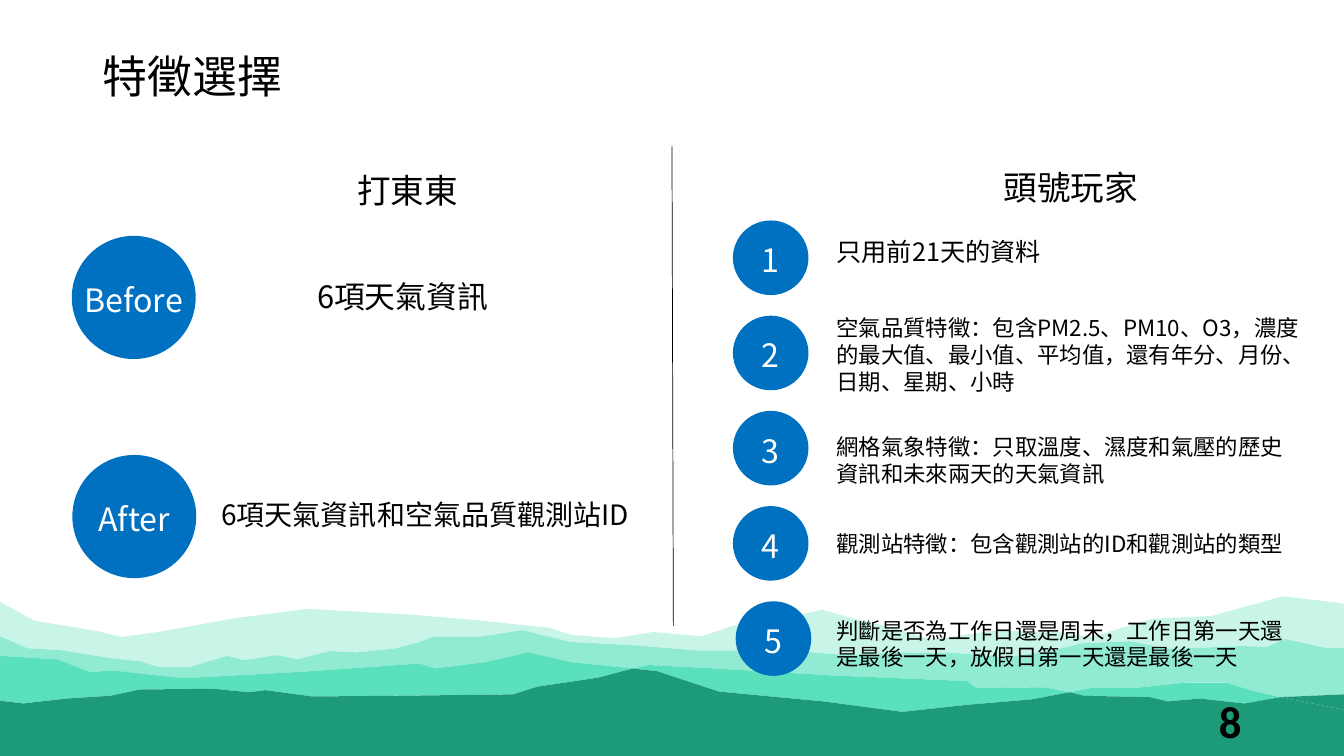
from lxml.etree import SubElement
from pptx import Presentation
from pptx.dml.color import RGBColor
from pptx.enum.shapes import MSO_CONNECTOR, MSO_SHAPE
from pptx.enum.text import MSO_ANCHOR, PP_ALIGN
from pptx.oxml.ns import qn
from pptx.util import Pt

BLACK, WHITE, BLUE = "000000", "FFFFFF", "0070C0"
MIST, MINT, TEAL, FOREST = "C8F5E8", "91EAD2", "5AE0BB", "1D9A78"
WIDTH, HEIGHT = 960, 540

# Ridge lines of the hills, from left to right, in points
MIST_TOP = [
    (0, 430), (25, 443.5), (70.5, 451), (86.5, 455), (113, 451.5), (168.5, 441.5),
    (219.5, 435), (293, 439), (345.5, 443.5), (392.5, 448.5), (408, 453.5), (438, 456),
    (466.5, 451.5), (501, 454.5), (524, 447), (546.5, 445.5), (587, 435.5), (613.5, 443),
    (638, 448.5), (665.5, 457), (709, 450.5), (755.5, 451.5), (780, 455), (823, 442),
    (865.5, 440), (916, 426), (955.5, 430.5), (960, 431.5)]
MINT_TOP = [
    (0, 454.5), (19.5, 463), (44, 464.5), (78, 470), (101, 472.5), (113, 476.5),
    (135.5, 476.5), (162, 468.5), (174, 471.5), (198, 468), (212.5, 471),
    (235.5, 465), (255, 466), (283.5, 463), (300, 458.5), (309, 455),
    (342, 455), (373, 450), (407, 458.5), (453.5, 461), (502.5, 465), (568, 465),
    (605, 468), (641.5, 466), (684.5, 466.5), (718, 469.5), (751, 465), (772.5, 459.5),
    (807, 458), (836, 463.5), (886.5, 461.5), (905, 462), (918, 456.5), (947.5, 463),
    (960, 463)]
# The lower two ridges meet at these three points
PEAK, SADDLE, SPUR = (452, 477.5), (764, 494.5), (914.5, 498)
TEAL_TOPS = [
    [(0, 468.5), (41, 471), (64, 480), (81.5, 479), (130.5, 484.5), (214, 480),
     (299.5, 474), (310.5, 477.5), (347, 473), (377.5, 466), (408, 473), PEAK],
    [PEAK, (463, 475), (511, 477.5), (594, 482.5), (690.5, 486.5), (697.5, 491.5),
     (746, 491), SADDLE],
    [SADDLE, (779, 491.5), (809.5, 491.5), (848, 487.5), (875.5, 487.5), (893, 493), SPUR],
    [SPUR, (960, 496)]]
FOREST_TOPS = [
    [(0, 500.5), (16.5, 502.5), (47.5, 499), (79, 497), (100, 492.5), (152.5, 492),
     (178, 494.5), (189.5, 493), (223, 497.5), (284.5, 497), (366.5, 496),
     (384, 490.5), (427.5, 484), PEAK],
    [PEAK, (469.5, 479.5), (513.5, 494), (588, 501), (644.5, 508.5), (690.5, 503.5),
     (737.5, 499.5), SADDLE],
    [SADDLE, (774, 497), (821.5, 498), (834, 501), (857, 499), (889, 502.5), SPUR],
    [SPUR, (960, 507)]]


def color(hex_string):
    return RGBColor.from_string(hex_string)


def write(frame, text, size=16, font="Noto Sans CJK SC", ink=BLACK, bold=False,
          align=PP_ALIGN.LEFT, anchor=MSO_ANCHOR.TOP, wrap=True, line_spacing=None):
    frame.word_wrap = wrap
    frame.vertical_anchor = anchor
    paragraph = frame.paragraphs[0]
    paragraph.alignment = align
    paragraph.line_spacing = line_spacing
    run = paragraph.add_run()
    run.text = text
    run.font.name, run.font.size, run.font.bold = font, Pt(size), bold
    run.font.color.rgb = color(ink)
    SubElement(run.font._element, qn("a:ea")).set("typeface", font)


class SlideBuilder:
    def __init__(self, slide):
        self.shapes = slide.shapes

    def finish(self, shape, fill):
        shape.shadow.inherit = False
        shape.fill.solid()
        shape.fill.fore_color.rgb = color(fill)
        shape.line.fill.background()

    def hill(self, top, bottom, fill):
        outline = [(Pt(x), Pt(y)) for x, y in top + bottom[::-1]]
        builder = self.shapes.build_freeform(*outline[0], scale=1.0)
        builder.add_line_segments(outline[1:], close=True)
        self.finish(builder.convert_to_shape(), fill)

    def text(self, text, left, top, width, height, **style):
        box = self.shapes.add_textbox(Pt(left), Pt(top), Pt(width), Pt(height))
        write(box.text_frame, text, **style)

    def badge(self, label, left, top, width, height):
        circle = self.shapes.add_shape(
            MSO_SHAPE.OVAL, Pt(left), Pt(top), Pt(width), Pt(height))
        self.finish(circle, BLUE)
        frame = circle.text_frame
        frame.margin_left = frame.margin_right = frame.margin_bottom = 0
        frame.margin_top = Pt(3)
        write(frame, label, size=23, ink=WHITE, align=PP_ALIGN.CENTER,
              anchor=MSO_ANCHOR.MIDDLE, wrap=False)

    def divider(self, x1, y1, x2, y2):
        line = self.shapes.add_connector(
            MSO_CONNECTOR.STRAIGHT, Pt(x1), Pt(y1), Pt(x2), Pt(y2))
        line.line.color.rgb = color(BLACK)
        line.line.width = Pt(0.5)
        SubElement(line._element.spPr, qn("a:effectLst"))


def main():
    deck = Presentation()
    deck.slide_width, deck.slide_height = Pt(WIDTH), Pt(HEIGHT)
    page = SlideBuilder(deck.slides.add_slide(deck.slide_layouts[6]))

    # Hills
    page.hill(MIST_TOP, MINT_TOP, MIST)
    page.hill(MINT_TOP, sum(TEAL_TOPS, []), MINT)
    for top, bottom, fill in zip(TEAL_TOPS, FOREST_TOPS, [TEAL, TEAL, TEAL, FOREST]):
        page.hill(top, bottom, fill)
    page.hill(sum(FOREST_TOPS, []), [(0, HEIGHT), (WIDTH, HEIGHT)], FOREST)

    # Title and divider
    page.text("特徵選擇", 66.5, 28.5, 828, 56, size=32, anchor=MSO_ANCHOR.MIDDLE,
              line_spacing=0.9)
    page.divider(480, 104.5, 481, 447)

    # Team headings
    for team, left, top, width in [("打東東", 247.5, 117.5, 87), ("頭號玩家", 709, 116, 111.5)]:
        page.text(team, left, top, width, 36, size=24, align=PP_ALIGN.CENTER, wrap=False)

    # Left team: before and after
    page.badge("Before", 51.3, 168.5, 88.5, 88)
    page.text("6項天氣資訊", 219.5, 197.5, 143.5, 29, size=22, line_spacing=0.9)
    page.badge("After", 51.7, 325, 88.5, 88)
    page.text("6項天氣資訊和空氣品質觀測站ID", 151, 354.5, 307.5, 31, size=20,
              line_spacing=0.9)

    # Right team: numbered features
    features = [
        ("只用前21天的資料", 165.5, 163, 29, 18),
        ("空氣品質特徵：包含PM2.5、PM10、O3，濃度的最大值、最小值、平均值，還有年分、月份、日期、星期、小時",
         221, 349, 65.5, 16),
        ("網格氣象特徵：只取溫度、濕度和氣壓的歷史資訊和未來兩天的天氣資訊", 306, 340.5, 46, 16),
        ("觀測站特徵：包含觀測站的ID和觀測站的類型", 375, 386, 26.5, 16),
        ("判斷是否為工作日還是周末，工作日第一天還是最後一天，放假日第一天還是最後一天",
         437, 340.5, 46, 16)]
    for number, (feature, top, width, height, size) in enumerate(features, 1):
        badge_left = 525.5 if number == len(features) else 523.5
        page.badge(str(number), badge_left, 157.5 + 68 * (number - 1), 54, 53.3)
        page.text(feature, 590.5, top, width, height, size=size)

    # Page number
    page.text("8", 678, 500.5, 216, 29, size=32, font="Calibri", bold=True,
              align=PP_ALIGN.RIGHT, anchor=MSO_ANCHOR.MIDDLE)

    deck.save("out.pptx")


if __name__ == "__main__":
    main()
